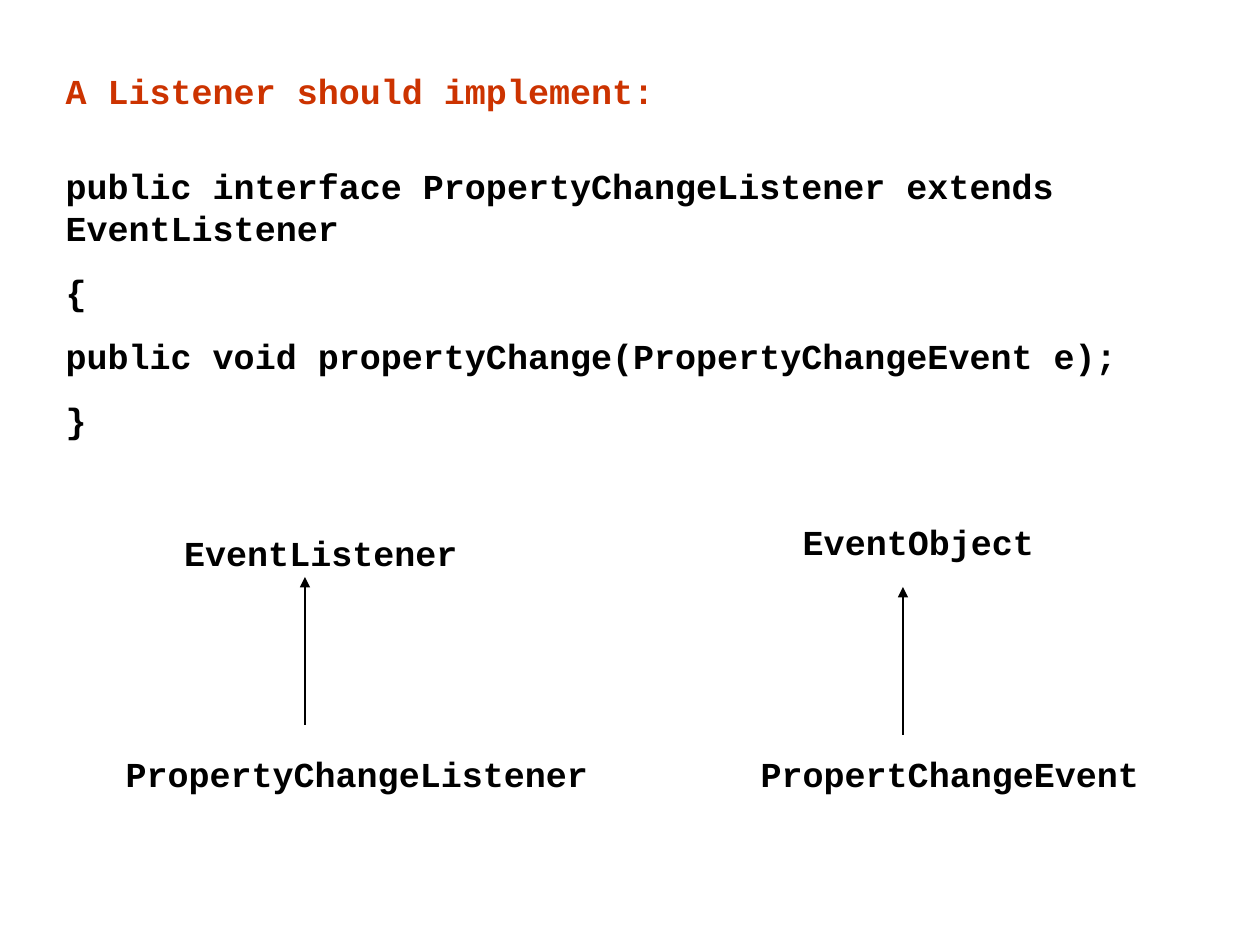
from lxml import etree
from pptx import Presentation
from pptx import util as u
from pptx.dml.color import RGBColor
from pptx.enum import shapes, text
from pptx.oxml.ns import qn

PX = 914400 / 126
INK, ACCENT = "000000", "CC3300"
LABEL_H = 55


def px(n):
    return u.Emu(round(n * PX))


def colour(hex_code):
    return RGBColor.from_string(hex_code)


def write(shape, content, align, hex_code=INK):
    """Fill a shape with bold code text, one paragraph per line."""
    frame = shape.text_frame
    frame.text = content
    frame.word_wrap = True
    frame.auto_size = text.MSO_AUTO_SIZE.NONE
    frame.vertical_anchor = text.MSO_ANCHOR.TOP
    for paragraph in frame.paragraphs:
        paragraph.alignment = align
        paragraph.space_before = u.Pt(12.5)
        for run in paragraph.runs:
            run.font.name = "Courier New"
            run.font.size = u.Pt(20)
            run.font.bold = True
            run.font.color.rgb = colour(hex_code)


def place(shape, left, top, width, height):
    shape.left, shape.top = px(left), px(top)
    shape.width, shape.height = px(width), px(height)


def heading(slide, left, top, width):
    title = slide.shapes.title
    place(title, left, top, width, LABEL_H)
    write(title, "A Listener should implement:", text.PP_ALIGN.LEFT, ACCENT)


def interface_code(slide, left, top, width, height):
    body = slide.placeholders[1]
    place(body, left, top, width, height)
    lines = ["public interface PropertyChangeListener extends EventListener",
             "{",
             "public void propertyChange(PropertyChangeEvent e);",
             "}"]
    write(body, "\n".join(lines), text.PP_ALIGN.LEFT)
    # Code lines carry no bullet or indent
    for paragraph in body.text_frame.paragraphs:
        properties = paragraph._p.get_or_add_pPr()
        properties.set("marL", "0")
        properties.set("indent", "0")
        etree.SubElement(properties, qn("a:buNone"))


def class_label(slide, name, left, top, width):
    label = slide.shapes.add_textbox(px(left), px(top), px(width), px(LABEL_H))
    write(label, name, text.PP_ALIGN.CENTER)


def inheritance_arrow(slide, x, bottom, top):
    arrow = slide.shapes.add_connector(
        shapes.MSO_CONNECTOR.STRAIGHT, px(x), px(bottom), px(x), px(top))
    arrow.line.color.rgb = colour(INK)
    arrow.line.width = u.Pt(0.75)
    etree.SubElement(arrow.line._get_or_add_ln(), qn("a:tailEnd"), type="triangle")
    etree.SubElement(arrow._element.spPr, qn("a:effectLst"))


def hierarchy(slide, left, top, parent, child, arrow_x, arrow_top, child_top):
    """Parent class above its child; each class is (name, width)."""
    parent_name, parent_width = parent
    child_name, child_width = child
    class_label(slide, parent_name, left, top, parent_width)
    class_label(slide, child_name, left + 52, top + child_top, child_width)
    inheritance_arrow(slide, left + arrow_x, top + arrow_top + 148, top + arrow_top)


def main():
    deck = Presentation()
    deck.slide_width, deck.slide_height = px(1260), px(945)
    slide = deck.slides.add_slide(deck.slide_layouts[1])

    heading(slide, 53, 63, 1166)
    interface_code(slide, 53, 158, 1166, 353)
    hierarchy(slide, 53, 525, ("EventListener", 536),
              ("PropertyChangeListener", 504), 252, 52, 221)
    hierarchy(slide, 693, 514, ("EventObject", 451),
              ("PropertChangeEvent", 410), 210, 73, 232)

    deck.save("out.pptx")


if __name__ == "__main__":
    main()
